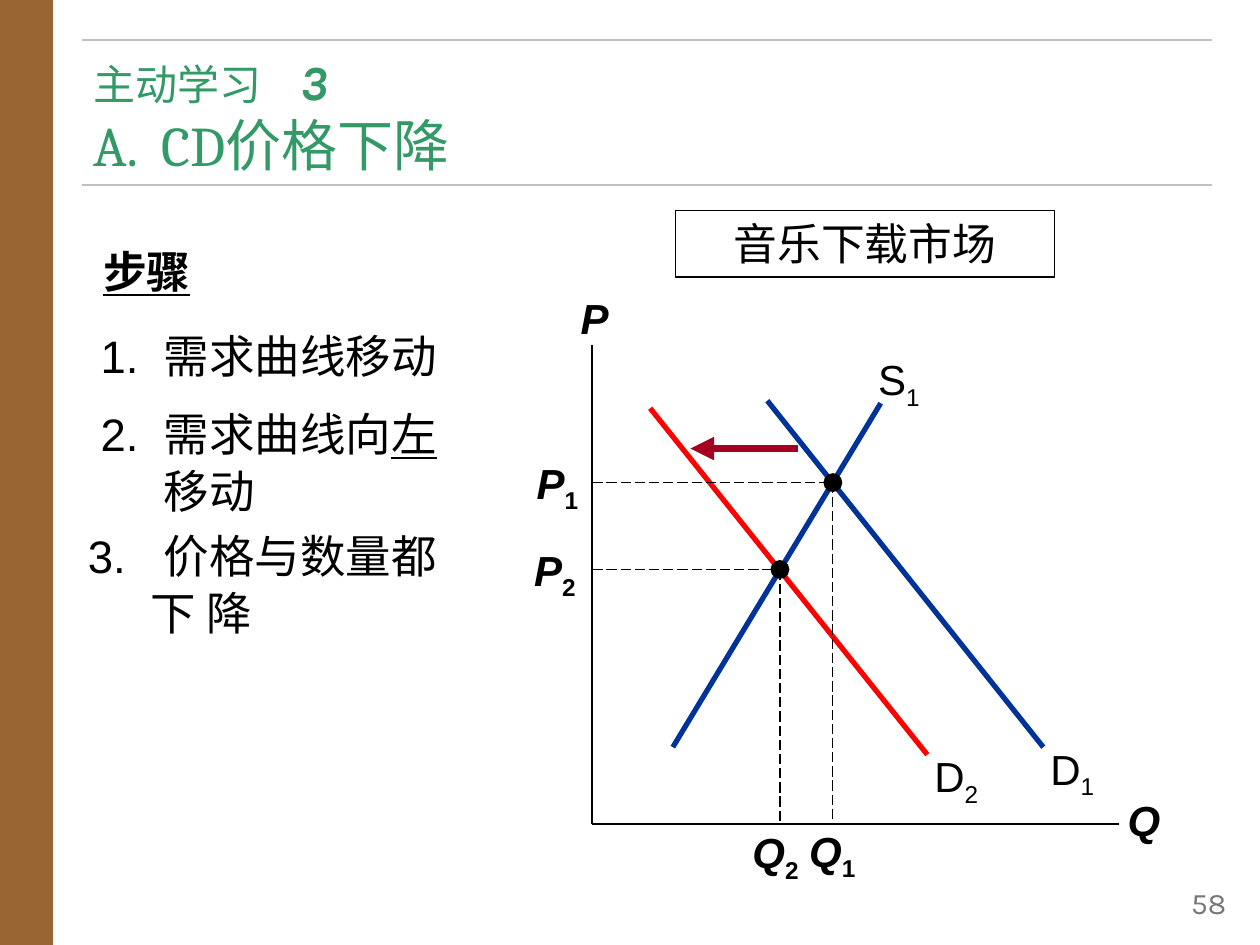
from lxml import etree
from pptx import Presentation
from pptx.dml.color import RGBColor
from pptx.enum.dml import MSO_LINE
from pptx.enum.shapes import MSO_CONNECTOR, MSO_SHAPE
from pptx.enum.text import MSO_ANCHOR, PP_ALIGN
from pptx.oxml.ns import qn
from pptx.util import Inches, Pt

STRAIGHT = MSO_CONNECTOR.STRAIGHT
RECT, OVAL = MSO_SHAPE.RECTANGLE, MSO_SHAPE.OVAL
DASH = MSO_LINE.LONG_DASH
LEFT, CENTER, RIGHT = PP_ALIGN.LEFT, PP_ALIGN.CENTER, PP_ALIGN.RIGHT
TOP, MIDDLE = MSO_ANCHOR.TOP, MSO_ANCHOR.MIDDLE

BLACK = RGBColor(0, 0, 0)
WHITE = RGBColor(255, 255, 255)
BROWN = RGBColor(0x99, 0x66, 0x33)
GREEN = RGBColor(0x33, 0x99, 0x66)
SILVER = RGBColor(0xC0, 0xC0, 0xC0)
GRAY = RGBColor(0x77, 0x77, 0x77)
BLUE = RGBColor(0x00, 0x33, 0x99)
RED = RGBColor(255, 0, 0)
CRIMSON = RGBColor(0xA5, 0x00, 0x21)

AXIS_X, AXIS_Y = 4.7, 6.54
DOT = 0.15


def add_run(par, words, size=24, font="Arial", color=BLACK, bold=False,
            italic=False, line=False, sub=False):
    run = par.add_run()
    run.text = words
    face = run.font
    face.size, face.name, face.color.rgb = Pt(size), font, color
    face.bold, face.italic, face.underline = bold, italic, line
    if sub:
        run._r.get_or_add_rPr().set("baseline", "-25000")


def fill_text(shape, pars, align=LEFT, anchor=TOP, inset=True, hang=0,
              space=1.0, tabs=(), **style):
    frame = shape.text_frame
    frame.word_wrap = True
    frame.vertical_anchor = anchor
    if not inset:
        frame.margin_left = frame.margin_right = 0
        frame.margin_top = frame.margin_bottom = 0
    for i, runs in enumerate(pars):
        par = frame.add_paragraph() if i else frame.paragraphs[0]
        par.alignment, par.line_spacing = align, space
        props = par._p.get_or_add_pPr()
        if hang:
            props.set("marL", str(Inches(hang)))
            props.set("indent", str(-Inches(hang)))
        if tabs:
            stops = etree.SubElement(props, qn("a:tabLst"))
            etree.SubElement(stops, qn("a:tab"),
                             pos=str(Inches(tabs[i])), algn="l")
        for words, extra in runs:
            add_run(par, words, **{**style, **extra})


def add_text(slide, at, pars, **style):
    box = slide.shapes.add_textbox(*map(Inches, at))
    fill_text(box, pars, **style)


def add_form(slide, kind, at, fill, edge=None):
    form = slide.shapes.add_shape(kind, *map(Inches, at))
    form.shadow.inherit = False
    form.fill.solid()
    form.fill.fore_color.rgb = fill
    if edge:
        form.line.color.rgb, form.line.width = edge, Pt(0.75)
    else:
        form.line.fill.background()
    return form


def add_line(slide, start, end, color=BLACK, width=1, dash=None, arrow=False):
    link = slide.shapes.add_connector(STRAIGHT, *map(Inches, (*start, *end)))
    link.line.color.rgb, link.line.width = color, Pt(width)
    if dash:
        link.line.dash_style = dash
    if arrow:
        etree.SubElement(link.line._get_or_add_ln(), qn("a:tailEnd"),
                         type="triangle")
    etree.SubElement(link._element.spPr, qn("a:effectLst"))


def add_label(slide, at, name, index="", strong=False, inset=True):
    runs = [(name, {"italic": strong})]
    if index:
        runs.append((index, {"sub": True}))
    add_text(slide, at, [runs], align=CENTER, bold=strong, inset=inset)


def add_curve(slide, start, end, color, name, index, at):
    add_line(slide, start, end, color, 3)
    add_label(slide, at, name, index)


def add_point(slide, x, y, index, price, amount):
    add_line(slide, (AXIS_X, y), (x, y), width=0.75, dash=DASH)
    add_line(slide, (x, y), (x, AXIS_Y), width=0.75, dash=DASH)
    add_form(slide, OVAL, (x - DOT / 2, y - DOT / 2, DOT, DOT), BLACK)
    for name, spot in (("P", price), ("Q", amount)):
        add_label(slide, (*spot, 0.53, 0.4), name, index, True, False)


def add_frame(slide):
    add_form(slide, RECT, (0, 0, 0.42, 7.5), BROWN)
    for y in (0.32, 1.47):
        add_line(slide, (0.65, y), (9.62, y), SILVER)
    title = [
        [("主动学习\t", {"size": 24}),
         ("3", {"size": 28, "bold": True, "italic": True})],
        [("A.\tCD价格下降", {"size": 32, "font": "Cambria"})],
    ]
    add_text(slide, (0.64, 0.39, 8.98, 1.04), title, anchor=MIDDLE,
             font="Karla", color=GREEN, tabs=(1.65, 0.54))
    add_text(slide, (9.08, 6.97, 0.75, 0.4), [[("58", {})]], align=RIGHT,
             size=17, font="Karla", color=GRAY)


def add_steps(slide):
    add_text(slide, (0.72, 1.87, 1.51, 0.6), [[("步骤", {})]],
             size=25, bold=True, line=True, space=1.05)
    steps = [
        ((0.7, 2.53, 3.37, 0.6), [("1.\t需求曲线移动", {})]),
        ((0.7, 3.15, 2.93, 0.67), [("2.\t需求曲线向", {}),
                                   ("左", {"line": True}), ("移动", {})]),
        ((0.6, 4.12, 3.2, 1.05), [("3.\t 价格与数量都下 降", {})]),
    ]
    for at, runs in steps:
        add_text(slide, at, [runs], size=26, hang=0.5, space=1.05)


def add_graph(slide):
    add_line(slide, (AXIS_X, 2.74), (AXIS_X, AXIS_Y))
    add_line(slide, (AXIS_X, AXIS_Y), (8.88, AXIS_Y))
    add_label(slide, (4.49, 2.27, 0.46, 0.5), "P", strong=True)
    add_label(slide, (8.83, 6.26, 0.5, 0.5), "Q", strong=True)
    add_curve(slide, (6.09, 3.18), (8.28, 5.93), BLUE, "D", "1",
              (8.21, 5.85, 0.6, 0.5))
    add_curve(slide, (5.34, 5.93), (6.99, 3.2), BLUE, "S", "1",
              (6.82, 2.76, 0.63, 0.5))
    add_curve(slide, (5.16, 3.24), (7.36, 5.99), RED, "D", "2",
              (7.29, 5.91, 0.6, 0.5))
    add_line(slide, (6.33, 3.56), (5.48, 3.56), CRIMSON, 4.5, arrow=True)
    add_point(slide, 6.61, 3.83, "1", (4.16, 3.63), (6.34, 6.55))
    add_point(slide, 6.19, 4.52, "2", (4.14, 4.32), (5.89, 6.56))
    market = add_form(slide, RECT, (5.36, 1.67, 3.01, 0.53), WHITE, BLACK)
    fill_text(market, [[("音乐下载市场", {})]], align=CENTER, size=25)


def main():
    deck = Presentation()
    deck.slide_width, deck.slide_height = Inches(10), Inches(7.5)
    slide = deck.slides.add_slide(deck.slide_layouts[6])
    add_frame(slide)
    add_steps(slide)
    add_graph(slide)
    deck.save("out.pptx")


if __name__ == "__main__":
    main()
